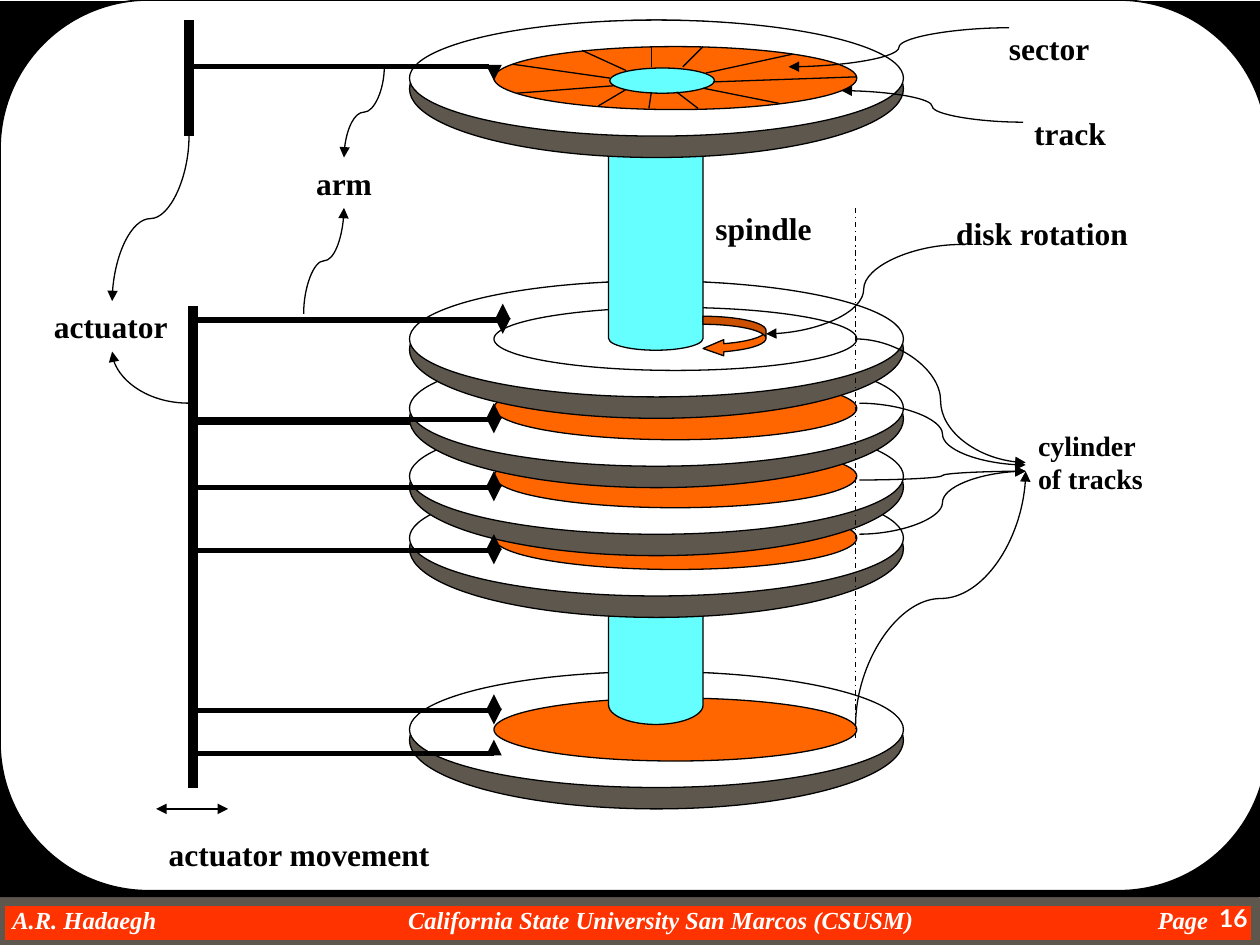
"""Build a slide that labels the parts of a disk drive."""
from lxml.etree import SubElement
from pptx import Presentation
from pptx.dml.color import RGBColor
from pptx.enum.dml import MSO_LINE_DASH_STYLE as Dash
from pptx.enum.shapes import MSO_CONNECTOR as Link, MSO_SHAPE as Form
from pptx.enum.text import MSO_AUTO_SIZE as AutoSize, PP_ALIGN as Align
from pptx.oxml.ns import qn
from pptx.util import Inches, Pt

COLORS = {"black": "000000", "white": "FFFFFF", "gray": "5E574E",
          "red": "FF3300", "orange": "FF6600", "cyan": "66FFFF"}


def color(name):
    return RGBColor.from_string(COLORS[name])


def add_form(slide, form, box, fill=None, line="black", width=0.75, adjust=()):
    shape = slide.shapes.add_shape(form, *map(Inches, box))
    shape.shadow.inherit = False
    if fill:
        shape.fill.solid()
        shape.fill.fore_color.rgb = color(fill)
    else:
        shape.fill.background()
    if line:
        shape.line.color.rgb = color(line)
        shape.line.width = Pt(width)
    else:
        shape.line.fill.background()
    for index, value in enumerate(adjust):
        shape.adjustments[index] = value
    return shape


def add_line(slide, start, end, width=0.75, ends=(), kind=Link.STRAIGHT):
    connector = slide.shapes.add_connector(kind, *map(Inches, (*start, *end)))
    connector.line.color.rgb = color("black")
    connector.line.width = Pt(width)
    properties = connector._element.spPr
    for name in ends:
        SubElement(properties.find(qn("a:ln")), qn(f"a:{name}")).set("type", "triangle")
    SubElement(properties, qn("a:effectLst"))
    return connector


def add_curve(slide, start, end):
    return add_line(slide, start, end, ends=["tailEnd"], kind=Link.CURVE)


def add_upright_curve(slide, start, end):
    (x1, y1), (x2, y2) = start, end
    middle_x, middle_y = (x1 + x2) / 2, (y1 + y2) / 2
    half_width, half_height = abs(y2 - y1) / 2, abs(x2 - x1) / 2
    curve = add_curve(slide, (middle_x - half_width, middle_y - half_height),
                      (middle_x + half_width, middle_y + half_height))
    degrees = 90 if y2 > y1 else 270
    curve._element.spPr.find(qn("a:xfrm")).set("rot", str(degrees * 60000))


def add_text(slide, box, text, size=18, ink="black", font="Times New Roman",
             italic=None, align=None, wrap=False, auto_size=AutoSize.SHAPE_TO_FIT_TEXT):
    text_box = slide.shapes.add_textbox(*map(Inches, box))
    frame = text_box.text_frame
    frame.word_wrap = wrap
    frame.auto_size = auto_size
    frame.text = text
    for paragraph in frame.paragraphs:
        paragraph.alignment = align
        for run in paragraph.runs:
            run.font.size, run.font.name = Pt(size), font
            run.font.bold, run.font.italic = True, italic
            run.font.color.rgb = color(ink)
    return frame


def add_frame(slide, width, height):
    add_form(slide, Form.RECTANGLE, (0, height - 0.35, width - 0.03, 0.35), "red", "gray", 6)
    footer = add_text(slide, (0, height - 0.32, width - 0.32, 0.23),
                      "A.R. Hadaegh\tCalifornia State University San Marcos (CSUSM)\tPage",
                      14, "white", italic=True, wrap=True)
    footer.margin_left = Inches(0.1)
    footer.margin_top = footer.margin_right = footer.margin_bottom = 0
    tabs = SubElement(footer.paragraphs[0]._p.get_or_add_pPr(), qn("a:tabLst"))
    for position in (3.14, 9.09):
        tab = SubElement(tabs, qn("a:tab"))
        tab.set("pos", str(Inches(position)))
        tab.set("algn", "l")
    add_form(slide, Form.RECTANGLE, (0, 0.01, width, height - 0.39), "black", None)
    add_form(slide, Form.ROUNDED_RECTANGLE, (0, 0, width + 0.06, height - 0.43),
             "white", width=1, adjust=[0.167])
    add_text(slide, (width - 0.75, height - 0.38, 0.75, 0.38), "16", 14, "white",
             "Lato", align=Align.RIGHT, wrap=True, auto_size=AutoSize.NONE)


def add_disk(slide, left, top, track="orange"):
    add_form(slide, Form.OVAL, (left, top, 3.92, 1.09), "gray")
    add_form(slide, Form.OVAL, (left, top, 3.92, 0.92), "white")
    add_form(slide, Form.OVAL, (left + 0.67, top + 0.21, 2.88, 0.5), track)


def add_arm(slide, left, y, up=True, down=True):
    head = left + 2.42
    if up:
        start = y - 0.02 if down else y
        add_line(slide, (head, start), (head, y - 0.13 if down else y - 0.11), 3, ["tailEnd"])
    add_line(slide, (left, y), (head - 0.04 if down else head, y), 3)
    if down:
        add_line(slide, (head, y), (head, y + 0.11), 3, ["tailEnd"])


def add_drive(slide, left, top):
    disk_left, spindle_left = left + 1.75, left + 3.33
    add_line(slide, (left + 0.03, top + 2.27), (left + 0.03, top + 6.09), 6)
    add_arm(slide, left, top + 3.19)
    add_disk(slide, disk_left, top + 5.17)
    add_form(slide, Form.CAN, (spindle_left, top + 4.36, 0.75, 1.23), "cyan", adjust=[0.41])
    for offset in (3.65, 3.16, 2.62):
        add_disk(slide, disk_left, top + offset)
    add_disk(slide, disk_left, top + 2.07, None)
    add_form(slide, Form.CAN, (spindle_left, top + 0.37, 0.75, 2.25), "cyan", adjust=[0.25])
    add_form(slide, Form.CURVED_LEFT_ARROW, (left + 4.08, top + 2.35, 0.5, 0.32),
             "orange", adjust=[0.2, 0.4, 0.513])
    add_disk(slide, disk_left, top)
    add_arm(slide, left, top + 0.37, up=False)
    for offset in (3.17, 3.71, 4.21, 5.48):
        add_arm(slide, left, top + offset)
    add_arm(slide, left, top + 5.82, down=False)
    add_arm(slide, left + 0.07, top + 2.38)
    add_line(slide, (left, top), (left, top + 0.92), 6)
    add_sectors(slide, disk_left, top)


def add_sectors(slide, left, top):
    add_form(slide, Form.OVAL, (left + 1.59, top + 0.38, 0.83, 0.2), "cyan")
    for x1, y1, x2, y2 in (
            (2.17, 0.37, 2.33, 0.21), (2.35, 0.42, 3.04, 0.27), (1.92, 0.37, 1.92, 0.21),
            (1.72, 0.4, 1.37, 0.24), (1.59, 0.46, 0.82, 0.35), (1.63, 0.52, 0.85, 0.58),
            (1.72, 0.55, 1.5, 0.68), (1.92, 0.57, 1.9, 0.7), (2.29, 0.7, 2.12, 0.57),
            (2.93, 0.66, 2.33, 0.54), (3.55, 0.45, 2.41, 0.49)):
        add_line(slide, (left + x1, top + y1), (left + x2, top + y2))


def add_labels(slide):
    for text, *box in (
            ("arm", 2.41, 1.25, 0.65, 0.4), ("actuator", 0.33, 2.39, 1.1, 0.4),
            ("track", 8.11, 0.86, 0.77, 0.4), ("spindle", 5.58, 1.61, 0.97, 0.4),
            ("disk rotation", 7.49, 1.65, 1.57, 0.4), ("sector", 7.91, 0.18, 0.84, 0.4),
            ("actuator movement", 1.24, 6.58, 2.28, 0.4)):
        add_text(slide, box, text)
    add_text(slide, (8.14, 3.35, 1.28, 0.64), "cylinder\nof tracks", 16, wrap=True)


def add_pointers(slide):
    add_line(slide, (6.79, 1.65), (6.79, 5.87)).line.dash_style = Dash.DASH_DOT
    for start, end in (
            ((6.79, 2.69), (8.14, 3.67)), ((6.82, 3.2), (8.14, 3.69)),
            ((6.82, 3.81), (8.14, 3.74)), ((6.82, 4.24), (8.14, 3.74)),
            ((7.63, 1.94), (6.08, 2.65)), ((8.12, 0.97), (6.68, 0.72)),
            ((8.01, 0.22), (6.26, 0.53))):
        add_curve(slide, start, end)
    for start, end in (
            ((6.79, 5.76), (8.14, 3.74)), ((3.05, 0.53), (2.73, 1.25)),
            ((2.41, 2.49), (2.73, 1.65)), ((1.5, 1.08), (0.89, 2.39))):
        add_upright_curve(slide, start, end)
    bend = add_curve(slide, (1.5, 3.2), (0.89, 2.79))
    bend._element.spPr.find(qn("a:prstGeom")).set("prst", "curvedConnector2")
    add_line(slide, (1.24, 6.42), (1.81, 6.42), ends=["headEnd", "tailEnd"])


presentation = Presentation()
presentation.slide_width, presentation.slide_height = Inches(10), Inches(7.5)
slide = presentation.slides.add_slide(presentation.slide_layouts[6])
add_frame(slide, 10, 7.5)
add_drive(slide, 1.5, 0.16)
add_labels(slide)
add_pointers(slide)
presentation.save("out.pptx")
